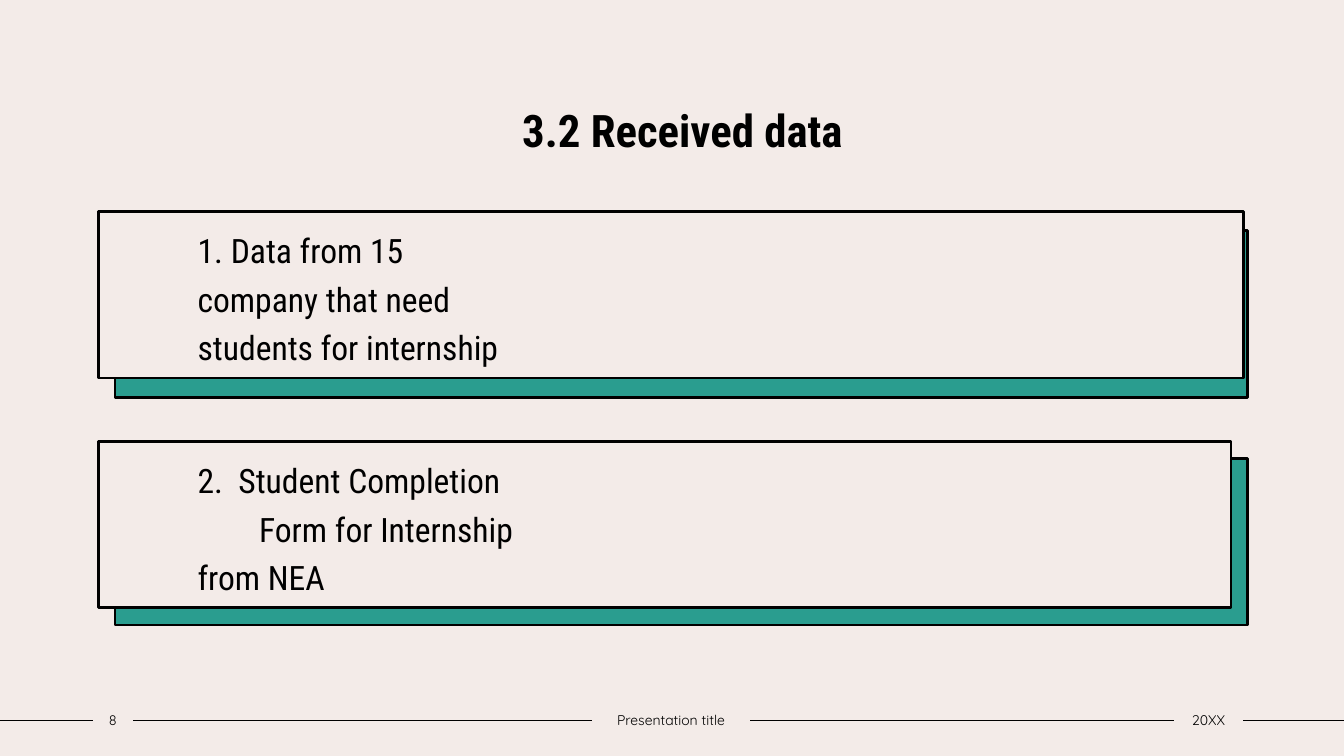
from pptx import Presentation
from pptx.dml.color import RGBColor
from pptx.enum.shapes import MSO_CONNECTOR, MSO_SHAPE
from pptx.enum.text import MSO_ANCHOR, PP_ALIGN
from pptx.oxml.ns import qn
from pptx.util import Inches, Pt
from lxml.etree import SubElement

COLORS = {"paper": "F3EBE8", "teal": "2A9D8F", "ink": "000000"}
HEADING_FONT, FOOTER_FONT = "Roboto Condensed", "Quicksand"
WIDTH, HEIGHT = 13.33, 7.5


def color(name):
    return RGBColor.from_string(COLORS[name])


class SlideBuilder:
    def __init__(self, slide):
        self.slide = slide
        slide.background.fill.solid()
        slide.background.fill.fore_color.rgb = color("paper")

    def format_text(self, frame, font, size, bold=False, align=PP_ALIGN.LEFT,
                    spacing=1.0):
        for paragraph in frame.paragraphs:
            paragraph.alignment = align
            paragraph.line_spacing = spacing
            for run in paragraph.runs:
                run.font.name = font
                run.font.size = Pt(size)
                run.font.bold = bold
                run.font.color.rgb = color("ink")

    def set_frame(self, frame, anchor, left, top, right, bottom):
        frame.word_wrap = True
        frame.vertical_anchor = anchor
        frame.margin_left, frame.margin_top = Inches(left), Inches(top)
        frame.margin_right, frame.margin_bottom = Inches(right), Inches(bottom)

    def title(self, text, left, top, width, height):
        heading = self.slide.shapes.title
        heading.left, heading.top = Inches(left), Inches(top)
        heading.width, heading.height = Inches(width), Inches(height)
        frame = heading.text_frame
        frame.text = text
        self.set_frame(frame, MSO_ANCHOR.BOTTOM, 0.3, 0.05, 0.1, 0.12)
        self.format_text(frame, HEADING_FONT, 32, True, PP_ALIGN.CENTER)

    def panel(self, fill, left, top, width, height):
        panel = self.slide.shapes.add_shape(
            MSO_SHAPE.RECTANGLE, Inches(left), Inches(top),
            Inches(width), Inches(height))
        panel.shadow.inherit = False
        panel.fill.solid()
        panel.fill.fore_color.rgb = color(fill)
        panel.line.color.rgb = color("ink")
        panel.line.width = Pt(2)
        return panel

    def card(self, lines, left, top, width, height, right_inset):
        frame = self.panel("paper", left, top, width, height).text_frame
        frame.text = "\n".join(text for text, _ in lines)
        self.set_frame(frame, MSO_ANCHOR.MIDDLE, 0.98, 0.05, right_inset, 0.05)
        self.format_text(frame, HEADING_FONT, 24, spacing=1.2)
        for paragraph, (_, indent) in zip(frame.paragraphs, lines):
            paragraph._p.get_or_add_pPr().set("marL", str(Inches(indent)))

    def footer_label(self, text, left, width):
        label = self.slide.shapes.add_textbox(
            Inches(left), Inches(7.01), Inches(width), Inches(0.27))
        frame = label.text_frame
        frame.text = text
        self.set_frame(frame, MSO_ANCHOR.MIDDLE, 0, 0.05, 0, 0.05)
        self.format_text(frame, FOOTER_FONT, 10, align=PP_ALIGN.CENTER)
        return label

    def footer_rule(self, before, after):
        """Draw a rule between two labels, or out to the slide's edge."""
        y = Inches(7.145)
        rule = self.slide.shapes.add_connector(
            MSO_CONNECTOR.STRAIGHT, 0, y, Inches(WIDTH), y)
        if before is not None:
            rule.begin_connect(before, 3)
        if after is not None:
            rule.end_connect(after, 1)
        rule.line.color.rgb = color("ink")
        rule.line.width = Pt(1)
        SubElement(rule._element.spPr, qn("a:effectLst"))


def main():
    deck = Presentation()
    deck.slide_width, deck.slide_height = Inches(WIDTH), Inches(HEIGHT)
    builder = SlideBuilder(deck.slides.add_slide(deck.slide_layouts[5]))

    builder.title("3.2 Received data", 1.25, 0.56, 10.84, 1.11)

    # Cards: lines with indents, card top, card width, backing top, right inset
    cards = [
        ([("1. Data from 15 company that need students for internship", 0)],
         2.1, 11.35, 2.29, 7.1),
        ([("2.  Student Completion", 0), ("Form for Internship", 0.61),
          ("from NEA", 0)],
         4.38, 11.23, 4.55, 6.9),
    ]
    for lines, top, width, backing_top, right_inset in cards:
        builder.panel("teal", 1.14, backing_top, 11.23, 1.65)
        builder.card(lines, 0.98, top, width, 1.65, right_inset)

    # Footer: labels joined by rules
    labels = [builder.footer_label(*label) for label in [
        ("8", 0.92, 0.4), ("Presentation title", 5.87, 1.57),
        ("20XX", 11.64, 0.69)]]
    for before, after in zip([None] + labels, labels + [None]):
        builder.footer_rule(before, after)

    deck.save("out.pptx")


if __name__ == "__main__":
    main()
